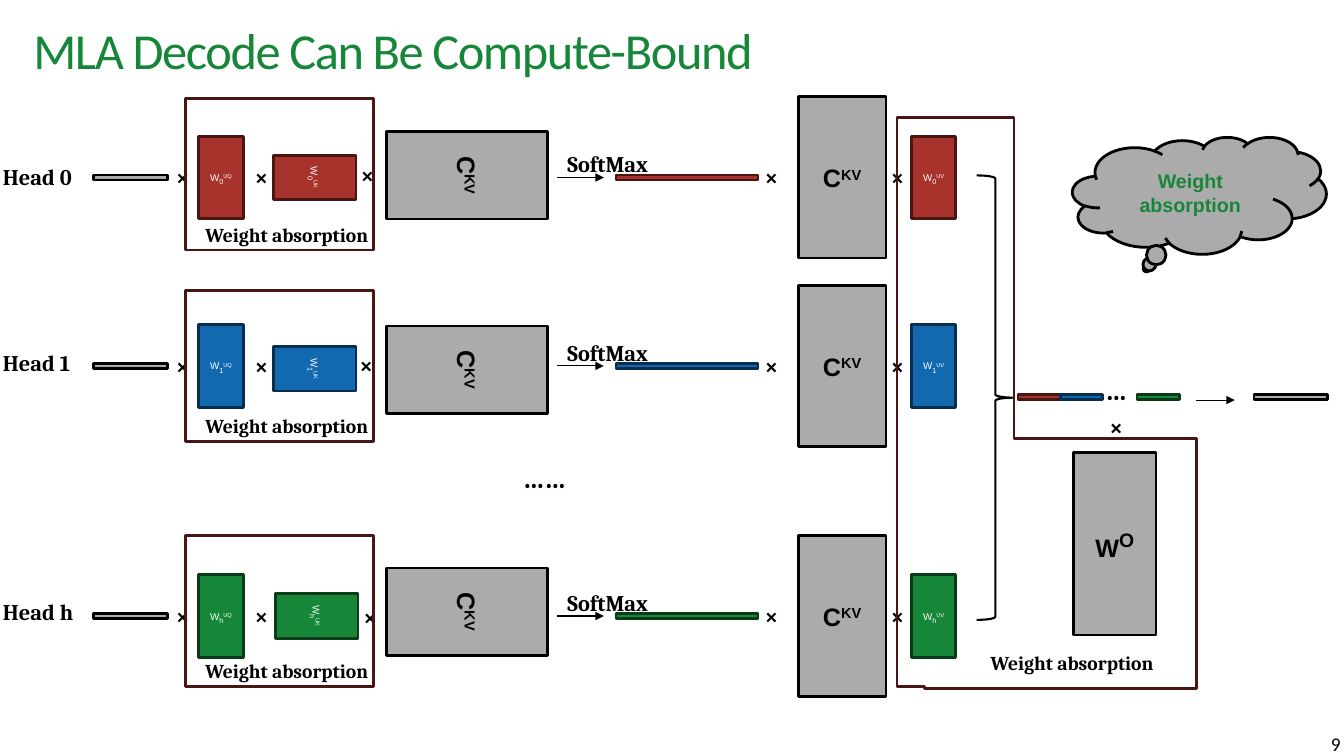
"""Build the slide on how MLA decode can be compute-bound."""
from dataclasses import dataclass
from typing import Optional

from lxml import etree
from pptx import Presentation
from pptx import util as u
from pptx.dml import color
from pptx.enum import shapes, text
from pptx.oxml import ns

BLACK, WHITE, GREY = "000000", "FFFFFF", "ABABAB"
GREEN, MAROON = "168638", "4A1613"
SERIF, SANS, TITLE_FONT = "Cambria", "Arial", "Calibri"


@dataclass(frozen=True)
class Box:
    left: float
    top: float
    width: float
    height: float


@dataclass(frozen=True)
class Span:
    content: str
    size: float
    baseline: int = 0
    spacing: int = 0


@dataclass(frozen=True)
class Style:
    font: str = SERIF
    colour: str = BLACK
    bold: bool = True
    align: text.PP_ALIGN = text.PP_ALIGN.LEFT


@dataclass(frozen=True)
class Paint:
    fill: Optional[str]
    line: str
    width: float = 2


@dataclass(frozen=True)
class Head:
    name: str
    paint: Paint
    middle: float
    label_top: float
    frame_top: float
    cache_middle: float
    key_x: float
    key_middle: float
    key_times: tuple[float, float]


PLAIN = Paint(GREY, BLACK)
OUTLINE = Paint(None, MAROON)
RED = Paint("A8322C", MAROON)
BLUE = Paint("1269B0", "082E4D")
LEAF = Paint(GREEN, "0A3B19")

HEADS = [
    Head("0", RED, 126.8, 113, 70.6, 125.2, 224.8, 126.8, (250.6, 111.6)),
    Head("1", BLUE, 261.4, 246.2, 207.4, 264.2, 224.8, 263.5, (249.8, 247)),
    Head("h", LEAF, 440, 423.4, 382.3, 437, 226.2, 440, (252.7, 427)),
]

SMALL, LARGE = (31.7, 59), (62.6, 115.2)
BAR_HEIGHT = 3.6
CENTRED = Style(SANS, align=text.PP_ALIGN.CENTER)
WEIGHT_TEXT = Style(SANS, WHITE, False, text.PP_ALIGN.CENTER)
CACHE = [Span("C", 18), Span("KV", 18, 30000)]
Kind = shapes.MSO_SHAPE

deck = Presentation()
deck.slide_width, deck.slide_height = u.Pt(960), u.Pt(540)
page = deck.slides.add_slide(deck.slide_layouts[6])


def rgb(value: str) -> color.RGBColor:
    return color.RGBColor.from_string(value)


def lengths(box: Box) -> list[u.Length]:
    return [u.Pt(side) for side in (box.left, box.top, box.width, box.height)]


def centred_box(x: float, y: float, size: tuple[float, float]) -> Box:
    width, height = size
    return Box(x - width / 2, y - height / 2, width, height)


def write(frame, spans: list[Span], style: Style) -> None:
    frame.word_wrap = True
    para = frame.paragraphs[0]
    para.alignment = style.align
    para.font.name, para.font.bold = style.font, style.bold
    para.font.color.rgb = rgb(style.colour)
    sizes = {span.size for span in spans}
    if len(sizes) == 1:
        para.font.size = u.Pt(spans[0].size)
    for span in spans:
        run = para.add_run()
        run.text = span.content
        if len(sizes) > 1:
            run.font.size = u.Pt(span.size)
        properties = run._r.get_or_add_rPr()
        if span.baseline:
            properties.set("baseline", str(span.baseline))
        if span.spacing:
            properties.set("spc", str(span.spacing))


def add_label(box: Box, span: Span, style: Style = Style()):
    label = page.shapes.add_textbox(*lengths(box))
    write(label.text_frame, [span], style)
    return label.text_frame


def apply_paint(shape, paint: Paint) -> None:
    shape.shadow.inherit = False
    if paint.fill:
        shape.fill.solid()
        shape.fill.fore_color.rgb = rgb(paint.fill)
    else:
        shape.fill.background()
    shape.line.color.rgb = rgb(paint.line)
    shape.line.width = u.Pt(paint.width)


def add_block(box: Box, paint: Paint, spans: Optional[list[Span]] = None,
              style: Style = CENTRED, kind: Kind = Kind.RECTANGLE, turn: float = 0) -> None:
    block = page.shapes.add_shape(kind, *lengths(box))
    apply_paint(block, paint)
    block.rotation = turn
    if spans:
        block.text_frame.vertical_anchor = text.MSO_ANCHOR.MIDDLE
        write(block.text_frame, spans, style)


def add_bar(left: float, middle: float, width: float, paint: Paint) -> None:
    add_block(Box(left, middle - BAR_HEIGHT / 2, width, BAR_HEIGHT), paint)


def add_arrow(start: float, end: float, y: float) -> None:
    arrow = page.shapes.add_connector(
        shapes.MSO_CONNECTOR.STRAIGHT, u.Pt(start), u.Pt(y), u.Pt(end), u.Pt(y))
    arrow.line.color.rgb = rgb(BLACK)
    arrow.line.width = u.Pt(0.75)
    etree.SubElement(arrow.line._get_or_add_ln(), ns.qn("a:tailEnd"), type="triangle")
    etree.SubElement(arrow._element.spPr, ns.qn("a:effectLst"))


def add_times(left: float, top: float) -> None:
    add_label(Box(left, top, 23, 26.6), Span("×", 16))


def add_absorption_label(left: float, top: float) -> None:
    add_label(Box(left, top, 164, 24.5), Span("Weight absorption", 14))


def add_weight(head: Head, role: str, x: float, y: float, turn: float = 0) -> None:
    spans = [Span("W", 7), Span(head.name, 9, -25000), Span(role, 7, 30000)]
    add_block(centred_box(x, y, SMALL), head.paint, spans, WEIGHT_TEXT, turn=turn)


def add_head(head: Head) -> None:
    y = head.middle
    add_label(Box(-5, head.label_top, 101.5, 26.6), Span(f"Head {head.name}", 16))
    add_bar(67, y, 52.6, PLAIN)
    add_weight(head, "UQ", 157.9, y)
    add_weight(head, "UK", head.key_x, head.key_middle, 90)
    add_block(centred_box(333.7, head.cache_middle, LARGE), PLAIN, CACHE, turn=90)
    add_arrow(398.2, 431.3, y)
    add_label(Box(398.2, y - 23, 101.5, 26.6), Span("SoftMax", 16))
    add_bar(440, y, 101.5, head.paint)
    add_block(centred_box(601.6, y, LARGE), PLAIN, CACHE)
    add_weight(head, "UV", 666.9, y)
    for left in (118.8, 175, 539.3, 629.3):
        add_times(left, y - 13.5)
    add_times(*head.key_times)
    add_block(Box(132.5, head.frame_top, 134.6, 108), OUTLINE)
    add_absorption_label(139.7, head.frame_top + 85)


def add_output() -> None:
    middle = 283.3
    for left, head in zip((727.2, 757.4, 812.2), HEADS):
        add_bar(left, middle, 30.2, head.paint)
    add_label(Box(782.6, 262.8, 34.6, 31.7), Span("…", 20))
    add_block(Box(697.7, 125.3, 26.6, 317.5), Paint(None, BLACK, 1.5), kind=Kind.RIGHT_BRACE)
    add_times(785.5, 291.6)
    add_block(Box(766.8, 323.3, 59, 130.3), PLAIN, [Span("W", 18), Span("O", 24, 30000)])
    add_arrow(854.6, 882, 285.8)
    add_bar(895.7, middle, 52.6, PLAIN)
    corners = [(640.8, 84.2), (724.3, 84.2), (724.3, 313.2), (854.6, 313.2),
               (854.6, 491.8), (660.2, 491.8), (660.2, 490.3), (640.8, 490.3)]
    points = [(u.Pt(x), u.Pt(y)) for x, y in corners]
    builder = page.shapes.build_freeform(*points[0], scale=1.0)
    builder.add_line_segments(points[1:], close=True)
    apply_paint(builder.convert_to_shape(), OUTLINE)
    add_absorption_label(700.6, 461.5)


def main() -> None:
    title = add_label(Box(23.8, 13.7, 916.6, 49),
                      Span("MLA Decode Can Be Compute-Bound", 36, spacing=-100),
                      Style(TITLE_FONT, GREEN, False))
    title.margin_left = title.margin_right = title.margin_top = title.margin_bottom = 0
    title.vertical_anchor = text.MSO_ANCHOR.MIDDLE
    title.paragraphs[0].line_spacing = 0.9
    number = add_label(Box(897.8, 518.4, 67, 24.5), Span("9", 13.8),
                       Style(TITLE_FONT, bold=False, align=text.PP_ALIGN.RIGHT))
    number.vertical_anchor = text.MSO_ANCHOR.BOTTOM
    for head in HEADS:
        add_head(head)
    add_label(Box(366.5, 325.4, 104.4, 31.7), Span("……", 20))
    add_output()
    add_block(Box(766, 97.9, 181.4, 83.5), PLAIN, [Span("Weight absorption", 14)],
              Style(SANS, GREEN, align=text.PP_ALIGN.CENTER), Kind.CLOUD_CALLOUT)
    deck.save("out.pptx")


if __name__ == "__main__":
    main()
